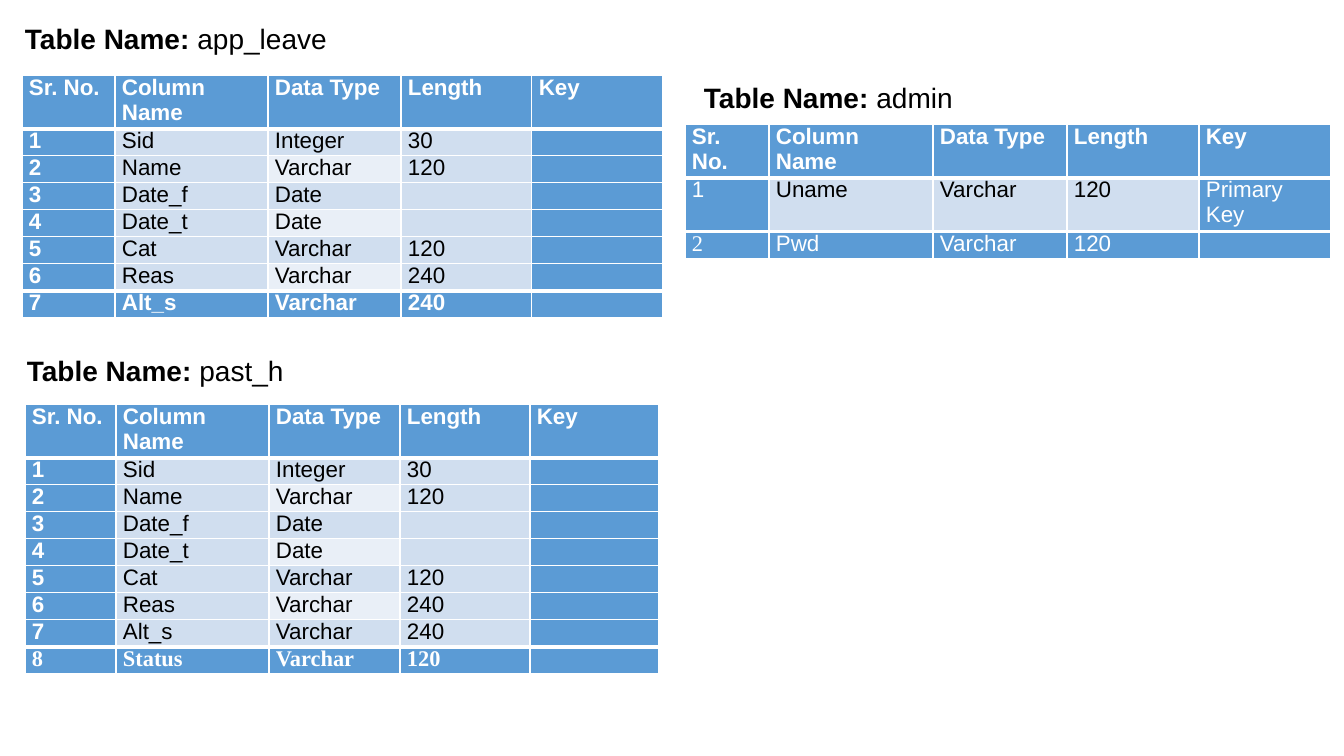
from lxml import etree
from pptx import Presentation
from pptx import util as u
from pptx.dml.color import RGBColor
from pptx.enum import text
from pptx.oxml.ns import qn

HEAD = ("Sr. No.", "Column Name", "Data Type", "Length", "Key")
LEAVE = [
    ("Sid", "Integer", "30", ""),
    ("Name", "Varchar", "120", ""),
    ("Date_f", "Date", "", ""),
    ("Date_t", "Date", "", ""),
    ("Cat", "Varchar", "120", ""),
    ("Reas", "Varchar", "240", ""),
    ("Alt_s", "Varchar", "240", ""),
]
PAST = LEAVE + [("Status", "Varchar", "120", "")]
ADMIN = [("Uname", "Varchar", "120", "Primary Key"), ("Pwd", "Varchar", "120", "")]

# Boxes are (left, top, width); "serif" counts the serif cells of the last row.
TABLES = [
    dict(name="app_leave", label=(15, 16, 402), at=(22, 75), rows=LEAVE,
         cols=(93, 153, 133, 131, 131), bold=True, serif=0),
    dict(name="past_h", label=(17, 348, 407), at=(25, 404), rows=PAST,
         cols=(91, 153, 131, 130, 129), bold=True, serif=5),
    dict(name="admin", label=(694, 75, 487), at=(685, 124), rows=ADMIN,
         cols=(84, 164, 134, 132, 132), bold=False, serif=1),
]

THEME = dict(blue="5B9BD5", band="D0DEEF", pale="E9EFF7", white="FFFFFF",
             black="000000", sans="Arial", serif="Times New Roman",
             label=20, cell=16, thin=1, thick=3)
LABEL_H, LINE_H, TALL_H, INSET = 44, 27, 53, 7


def px(n):
    """Turn picture pixels into EMU."""
    return u.Emu(round(n * 914400 / 100.8))


def rgb(key):
    """Look up a theme colour."""
    return RGBColor.from_string(THEME[key])


def put(para, words, size, color, bold, face="sans"):
    """Add one formatted run."""
    run = para.add_run()
    run.text = words
    font = run.font
    font.size, font.name, font.bold = u.Pt(THEME[size]), THEME[face], bold
    font.color.rgb = rgb(color)


def label(slide, name, box):
    """Write the caption of a table."""
    left, top, width = box
    area = slide.shapes.add_textbox(px(left), px(top), px(width), px(LABEL_H))
    frame = area.text_frame
    frame.word_wrap = True
    frame.vertical_anchor = text.MSO_ANCHOR.MIDDLE
    para = frame.paragraphs[0]
    put(para, "Table Name:", "label", "black", True)
    put(para, " " + name, "label", "black", False)


def edge(cell, **sides):
    """Draw white cell borders, given a weight for each side."""
    props = cell._tc.get_or_add_tcPr()
    for side in "LRTB":
        width = u.Pt(THEME[sides.get(side, "thin")])
        line = etree.SubElement(props, qn("a:ln" + side), w=str(width))
        fill = etree.SubElement(line, qn("a:solidFill"))
        etree.SubElement(fill, qn("a:srgbClr"), val=THEME["white"])


def grid(slide, item):
    """Build one table with blue outer rows and columns."""
    body = [(str(n), *row) for n, row in enumerate(item["rows"], 1)]
    rows = [HEAD] + body
    last, end = len(rows) - 1, len(HEAD) - 1
    tall = [r == 0 or bool(row[end]) for r, row in enumerate(rows)]
    highs = [TALL_H if big else LINE_H for big in tall]
    left, top = item["at"]
    table = slide.shapes.add_table(
        len(rows), len(HEAD), px(left), px(top),
        px(sum(item["cols"])), px(sum(highs))).table
    for col, width in zip(table.columns, item["cols"]):
        col.width = px(width)
    for r, row in enumerate(rows):
        table.rows[r].height = px(highs[r])
        for c, words in enumerate(row):
            cell = table.cell(r, c)
            cell.margin_left = cell.margin_right = px(INSET)
            cell.margin_top = cell.margin_bottom = 0
            edge(cell, T="thick" if r in (1, last) else "thin",
                 B="thick" if r in (0, last - 1) else "thin")
            rim = r in (0, last) or c in (0, end)
            pale = c == 2 and r % 2 == 0
            cell.fill.solid()
            cell.fill.fore_color.rgb = rgb(
                "blue" if rim else "pale" if pale else "band")
            para = cell.text_frame.paragraphs[0]
            if words:
                put(para, words, "cell", "white" if rim else "black",
                    r == 0 or (item["bold"] and rim),
                    "serif" if r == last and c < item["serif"] else "sans")
            else:
                etree.SubElement(para._p, qn("a:endParaRPr"),
                                 sz=str(THEME["cell"] * 100))


def main():
    """Build and save the slide."""
    deck = Presentation()
    deck.slide_width, deck.slide_height = px(1344), px(756)
    slide = deck.slides.add_slide(deck.slide_layouts[6])
    for item in TABLES:
        label(slide, item["name"], item["label"])
        grid(slide, item)
    deck.save("out.pptx")


main()
